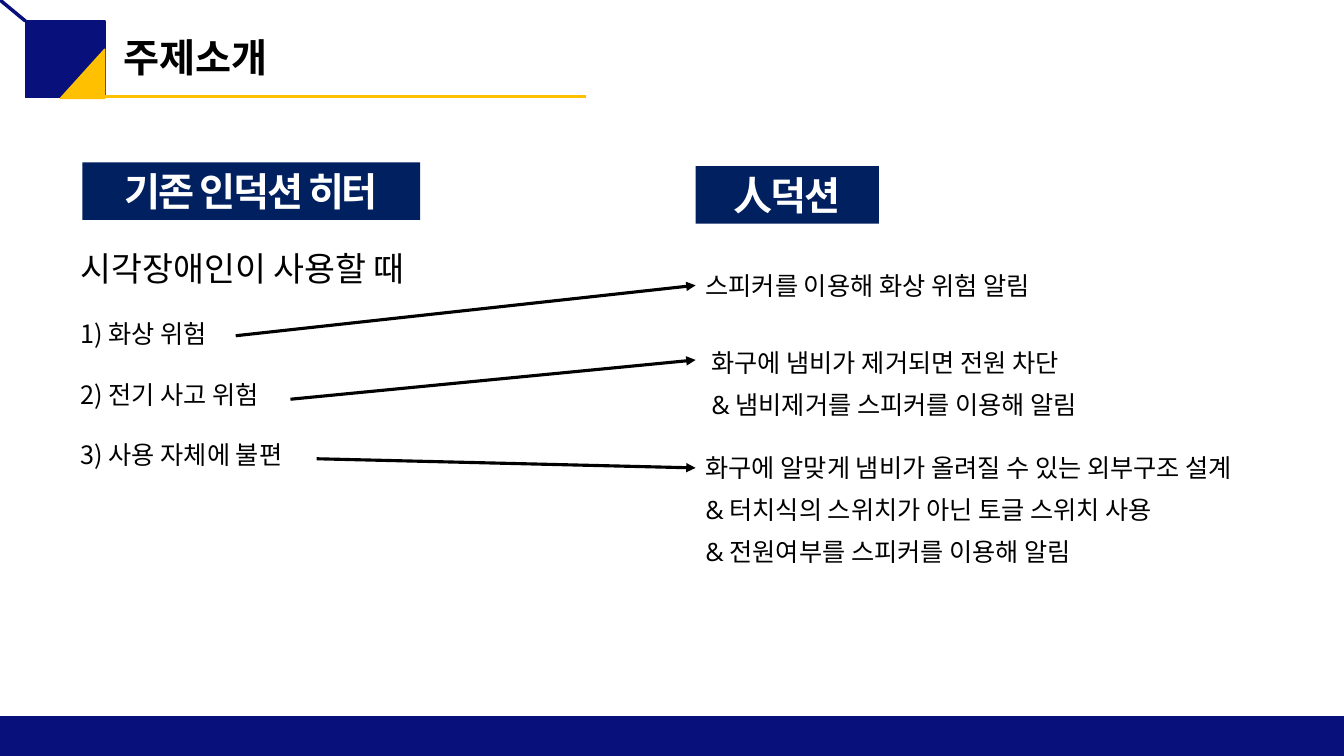
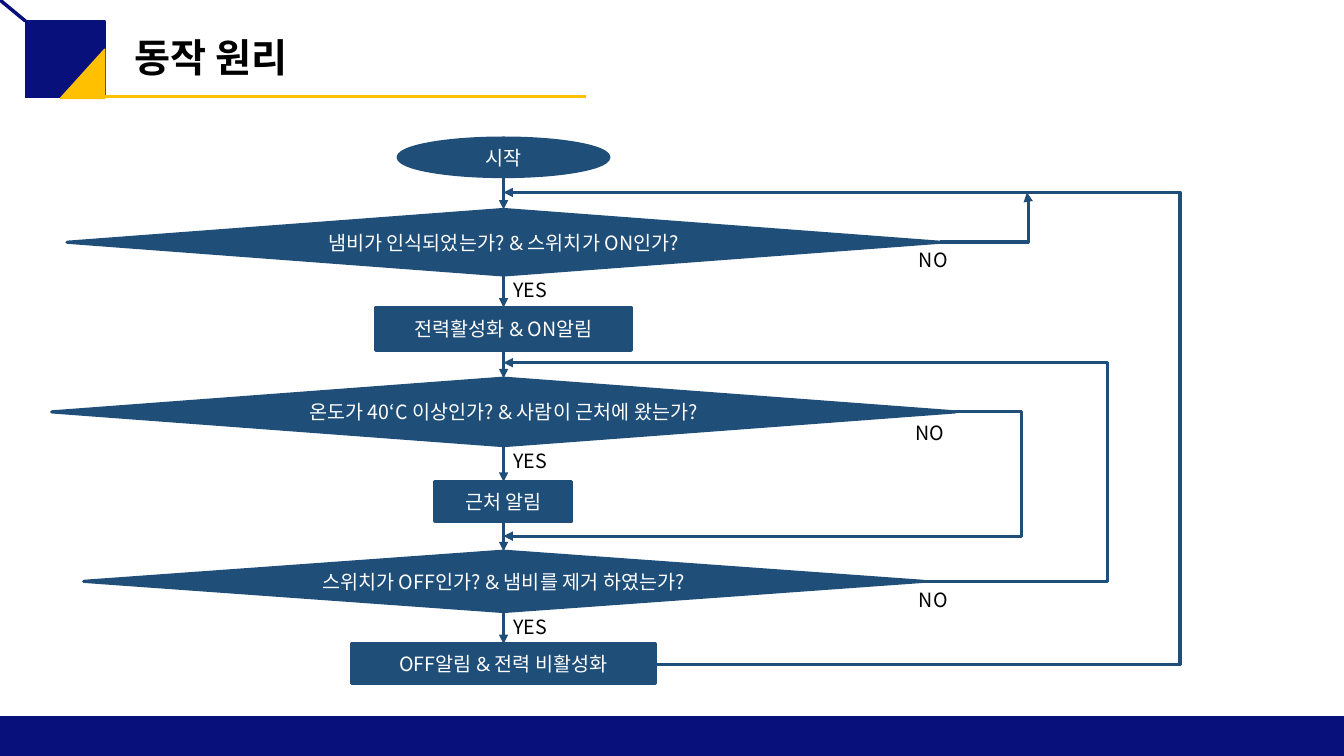
import pptx
import pptx.util
import pptx.dml.color
import pptx.enum.shapes
import pptx.enum.text
import pptx.oxml.ns
import lxml.etree

Cm = pptx.util.Cm
Pt = pptx.util.Pt
SHAPE = pptx.enum.shapes.MSO_SHAPE
CONNECTOR = pptx.enum.shapes.MSO_CONNECTOR
ALIGN = pptx.enum.text.PP_ALIGN
ANCHOR = pptx.enum.text.MSO_ANCHOR
qn = pptx.oxml.ns.qn

COLORS = {
    "navy": "08107B",
    "gold": "FFC000",
    "heading": "002060",
    "flow": "1F4E79",
    "black": "000000",
    "white": "FFFFFF",
}
RGB = {name: pptx.dml.color.RGBColor.from_string(code) for name, code in COLORS.items()}
KOREAN = "Noto Sans CJK KR"
LATIN = "Open Sans"

FORMATS = {
    "title": {"size": Pt(28), "bold": True},
    "lead": {"size": Pt(24), "bold": False},
    "body": {"size": Pt(18), "bold": False},
    "flow": {"size": Pt(14), "bold": False},
}
LINE_HEIGHT = 1.2
MIDDLE = {"word_wrap": True, "vertical_anchor": ANCHOR.MIDDLE}
TOP = {"word_wrap": True, "vertical_anchor": ANCHOR.TOP}
TITLE = {"word_wrap": False, "vertical_anchor": ANCHOR.MIDDLE}


def write_text(box, lines, color, frame, align=ALIGN.LEFT, gap=0, tracking=0):
    for name, value in frame.items():
        setattr(box.text_frame, name, value)
    for index, (text, style) in enumerate(lines):
        para = box.text_frame.paragraphs[0] if index == 0 else box.text_frame.add_paragraph()
        para.alignment = align
        para.line_spacing = Pt(FORMATS[style]["size"].pt * LINE_HEIGHT)
        para.space_before = Pt(gap if index else 0)
        for piece, font in zip(text.partition("&"), (KOREAN, LATIN, KOREAN)):
            if not piece:
                continue
            span = para.add_run()
            span.text = piece
            for name, value in {**FORMATS[style], "name": font}.items():
                setattr(span.font, name, value)
            span.font.color.rgb = RGB[color]
            properties = span.font._element
            lxml.etree.SubElement(properties, qn("a:ea")).set("typeface", KOREAN)
            if tracking:
                properties.set("spc", str(tracking))


def add_line(page, start, end, color, width=2.25, arrow=True, turn=None):
    kind = CONNECTOR.STRAIGHT if turn is None else CONNECTOR.ELBOW
    line = page.shapes.add_connector(kind, *[Cm(value) for value in (*start, *end)])
    line.line.color.rgb = RGB[color]
    line.line.width = Pt(width)
    properties = line._element.spPr
    if arrow:
        lxml.etree.SubElement(line.line._get_or_add_ln(), qn("a:tailEnd")).set("type", "triangle")
    lxml.etree.SubElement(properties, qn("a:effectLst"))
    if turn is not None:
        share = round((turn - start[0]) / (end[0] - start[0]) * 100000)
        guides = properties.find(qn("a:prstGeom")).get_or_add_avLst()
        guide = lxml.etree.SubElement(guides, qn("a:gd"))
        guide.set("name", "adj1")
        guide.set("fmla", f"val {share}")


deck = pptx.Presentation()
deck.slide_width = Cm(33.87)
deck.slide_height = Cm(19.05)

HEADER_SHAPES = [
    (SHAPE.RECTANGLE, (0.64, 0.53, 2.01, 1.93), "navy"),
    (SHAPE.ISOSCELES_TRIANGLE, (1.52, 1.24, 1.12, 1.24), "gold"),
    (SHAPE.RECTANGLE, (0, 18.06, 33.87, 0.99), "navy"),
]
pages = []
for title, left, width in [("주제소개", 2.87, 4.42), ("동작 원리", 3.15, 4.75)]:
    page = deck.slides.add_slide(deck.slide_layouts[6])
    for kind, place, color in HEADER_SHAPES:
        shape = page.shapes.add_shape(kind, *map(Cm, place))
        shape.shadow.inherit = False
        shape.fill.solid()
        shape.fill.fore_color.rgb = RGB[color]
        shape.line.color.rgb = RGB[color]
        shape.line.width = Pt(1)
        if kind == SHAPE.ISOSCELES_TRIANGLE:
            shape.adjustments[0] = 1
    add_line(page, (0.64, 0.53), (0, 0), "navy", 2.5, arrow=False)
    add_line(page, (2.64, 2.44), (14.78, 2.44), "gold", arrow=False)
    box = page.shapes.add_textbox(Cm(left), Cm(0.71), Cm(width), Cm(1.45))
    write_text(box, [(title, "title")], "black", TITLE)
    pages.append(page)
topic, flow = pages

for heading, place in [
    ("人덕션", (17.53, 4.19, 4.62, 1.45)),
    ("기존 인덕션 히터", (2.08, 4.09, 8.51, 1.45)),
]:
    box = topic.shapes.add_shape(SHAPE.RECTANGLE, *map(Cm, place))
    box.shadow.inherit = False
    box.fill.solid()
    box.fill.fore_color.rgb = RGB["heading"]
    box.line.fill.background()
    write_text(box, [(heading, "title")], "white", MIDDLE, ALIGN.CENTER, tracking=-150)

PROBLEMS = ["1) 화상 위험", "2) 전기 사고 위험", "3) 사용 자체에 불편"]
ANSWERS = [
    ((17.53, 6.68, 12.78, 1.02), ["스피커를 이용해 화상 위험 알림"]),
    ((17.68, 8.64, 12.78, 2.08), [
        "화구에 냄비가 제거되면 전원 차단",
        "& 냄비제거를 스피커를 이용해 알림",
    ]),
    ((17.53, 11.28, 15.65, 3.18), [
        "화구에 알맞게 냄비가 올려질 수 있는 외부구조 설계",
        "& 터치식의 스위치가 아닌 토글 스위치 사용",
        "& 전원여부를 스피커를 이용해 알림",
    ]),
]
box = topic.shapes.add_textbox(Cm(1.78), Cm(6.12), Cm(12.78), Cm(5.89))
lines = [("시각장애인이 사용할 때", "lead")] + [(text, "body") for text in PROBLEMS]
write_text(box, lines, "black", TOP, gap=21.6)
for place, texts in ANSWERS:
    box = topic.shapes.add_textbox(*map(Cm, place))
    write_text(box, [(text, "body") for text in texts], "black", TOP, gap=8.4)
for start, end_y in [((5.94, 8.46), 7.19), ((7.32, 10.06), 9.07), ((7.98, 11.56), 11.79)]:
    add_line(topic, start, (17.53, end_y), "black")

CENTER = 12.69
STEPS = [
    (SHAPE.OVAL, 3.48, 5.31, 0.97, "시작"),
    (SHAPE.DIAMOND, 5.28, 22, 1.65, "냄비가 인식되었는가? & 스위치가 ON인가?"),
    (SHAPE.RECTANGLE, 7.75, 6.43, 1.07, "전력활성화 & ON알림"),
    (SHAPE.DIAMOND, 9.53, 22.78, 1.7, "온도가 40‘C 이상인가? & 사람이 근처에 왔는가?"),
    (SHAPE.RECTANGLE, 12.14, 3.45, 0.99, "근처 알림"),
    (SHAPE.DIAMOND, 13.89, 21.16, 1.52, "스위치가 OFF인가? & 냄비를 제거 하였는가?"),
    (SHAPE.RECTANGLE, 16.23, 7.65, 0.99, "OFF알림 & 전력 비활성화"),
]
labels = [("NO", 22.91, 6.12), ("NO", 22.83, 10.49), ("NO", 22.91, 14.68)]
previous_bottom = None
for kind, top, width, height, text in STEPS:
    step = flow.shapes.add_shape(kind, Cm(CENTER - width / 2), Cm(top), Cm(width), Cm(height))
    step.shadow.inherit = False
    step.fill.solid()
    step.fill.fore_color.rgb = RGB["flow"]
    step.line.color.rgb = RGB["flow"]
    step.line.width = Pt(2.25)
    write_text(step, [(text, "flow")], "white", MIDDLE, ALIGN.CENTER)
    if previous_bottom is not None:
        add_line(flow, (CENTER, previous_bottom), (CENTER, top), "flow")
    previous_bottom = top + height
    if kind == SHAPE.DIAMOND:
        labels.append(("YES", CENTER, previous_bottom - 0.04))

for start, turn, end in [
    ((16.51, 16.74), 29.74, (CENTER, 4.85)),
    ((23.69, 6.1), 25.91, (25.88, 4.85)),
    ((24.08, 10.38), 25.76, (CENTER, 13.51)),
    ((23.25, 14.65), 27.91, (CENTER, 9.14)),
]:
    add_line(flow, start, end, "flow", turn=turn)
for text, left, top in labels:
    box = flow.shapes.add_textbox(Cm(left), Cm(top), Cm(1.55), Cm(0.86))
    write_text(box, [(text, "flow")], "black", TOP)

deck.save("out.pptx")
